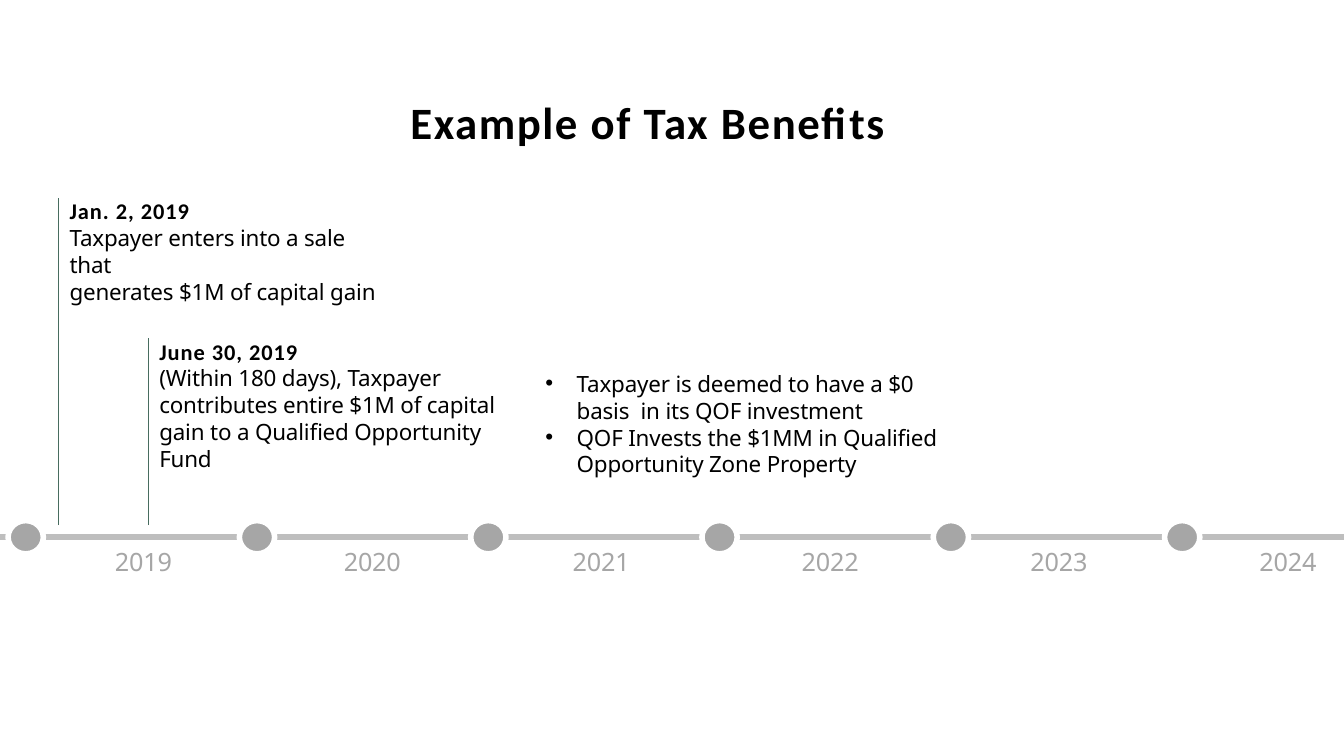
import pptx
import pptx.dml.color
import pptx.enum.shapes
import pptx.enum.text
import pptx.oxml.ns
import pptx.util
from lxml import etree
from pptx.util import Inches, Pt

COLORS = {"text": "000000", "axis": "BEBEBE", "marker": "A6A6A6",
          "leader": "476C5F", "white": "FFFFFF"}
HEADING_FONT = "Calibri"
BODY_FONT = "Noto Sans"
ALIGN = pptx.enum.text.PP_ALIGN


def color(name):
    return pptx.dml.color.RGBColor.from_string(COLORS[name])


def format_frame(frame, anchor=pptx.enum.text.MSO_ANCHOR.TOP):
    frame.word_wrap = True
    frame.auto_size = pptx.enum.text.MSO_AUTO_SIZE.NONE
    frame.vertical_anchor = anchor
    frame.margin_left = frame.margin_right = frame.margin_bottom = 0
    frame.margin_top = Inches(0.01)


def format_paragraph(paragraph, font_name, size, color_name="text", bold=False,
                     tracking=0, space_before=0, align=ALIGN.LEFT):
    paragraph.alignment = align
    paragraph.space_before = Pt(space_before)
    font = paragraph.font
    font.name, font.size, font.bold = font_name, Pt(size), bold
    font.color.rgb = color(color_name)
    properties = paragraph._p.get_or_add_pPr().get_or_add_defRPr()
    properties.set("spc", str(round(tracking * 100)))


def set_hanging_indent(paragraph, left, first_line, bullet=None):
    properties = paragraph._p.get_or_add_pPr()
    properties.set("marL", str(Inches(left)))
    properties.set("indent", str(Inches(first_line)))
    if bullet:
        font = etree.SubElement(properties, pptx.oxml.ns.qn("a:buFont"))
        font.set("typeface", "Arial")
        character = etree.SubElement(properties, pptx.oxml.ns.qn("a:buChar"))
        character.set("char", bullet)


def add_text_box(slide, left, top, width, height, lines):
    box = slide.shapes.add_textbox(
        Inches(left), Inches(top), Inches(width), Inches(height))
    format_frame(box.text_frame)
    box.text_frame.text = "\n".join(lines)
    return box.text_frame.paragraphs


def add_line(slide, x1, y1, x2, y2, color_name, width):
    line = slide.shapes.add_connector(
        pptx.enum.shapes.MSO_CONNECTOR.STRAIGHT,
        Inches(x1), Inches(y1), Inches(x2), Inches(y2))
    line.line.color.rgb = color(color_name)
    line.line.width = Pt(width)
    etree.SubElement(line._element.spPr, pptx.oxml.ns.qn("a:effectLst"))


def place_title(slide, left, top, width, height, text):
    title = slide.shapes.title
    title.left, title.top = Inches(left), Inches(top)
    title.width, title.height = Inches(width), Inches(height)
    format_frame(title.text_frame, pptx.enum.text.MSO_ANCHOR.MIDDLE)
    title.text_frame.text = text
    format_paragraph(title.text_frame.paragraphs[0], HEADING_FONT, 32, bold=True,
                     tracking=1.1, space_before=1.1, align=ALIGN.CENTER)


def add_timeline(slide, left, axis_y, width, years):
    add_line(slide, left, axis_y, left + width, axis_y, "axis", 4.56)
    marker_width, marker_height = 0.35, 0.33
    # Year markers with a white ring that cuts the axis
    for index in range(len(years)):
        marker = slide.shapes.add_shape(
            pptx.enum.shapes.MSO_SHAPE.OVAL,
            Inches(left + 0.08 + 2.294 * index), Inches(axis_y - marker_height / 2),
            Inches(marker_width), Inches(marker_height))
        marker.shadow.inherit = False
        marker.fill.solid()
        marker.fill.fore_color.rgb = color("marker")
        marker.line.color.rgb = color("white")
        marker.line.width = Pt(3.96)
    # Year labels
    for index, year in enumerate(years):
        label, = add_text_box(slide, left + 1.14 + 2.27 * index, axis_y + 0.08,
                              0.64, 0.33, [str(year)])
        format_paragraph(label, BODY_FONT, 18, "marker", tracking=-0.1, space_before=1)


def add_event(slide, left, top, width, height, bottom, lines):
    """Leader line from the axis with a dated note beside it."""
    add_line(slide, left, bottom, left, top, "leader", 0.48)
    date, *details = add_text_box(slide, left + 0.11, top - 0.01, width, height, lines)
    format_paragraph(date, HEADING_FONT, 16, bold=True, tracking=0.7, space_before=0.9)
    for detail in details:
        format_paragraph(detail, BODY_FONT, 16, tracking=-0.1)


def add_consequences(slide, left, top, width, height, lines):
    paragraphs = add_text_box(slide, left, top, width, height, lines)
    first, second, continuation = paragraphs
    for paragraph in (first, second):
        set_hanging_indent(paragraph, 0.33, -0.31, "•")
    set_hanging_indent(continuation, 0.33, 0)
    for paragraph in paragraphs:
        format_paragraph(paragraph, BODY_FONT, 16, tracking=-0.1,
                         space_before=0.9 if paragraph is first else 0)


def build_tax_benefits_slide(presentation):
    slide = presentation.slides.add_slide(presentation.slide_layouts[5])
    place_title(slide, 1.98, 0.93, 8.89, 0.55, "Example of Tax Benefits")
    add_timeline(slide, 0, 5.33, 13.33, range(2019, 2025))
    add_event(slide, 0.58, 1.96, 3.14, 0.83, 5.21, [
        "Jan. 2, 2019",
        "Taxpayer enters into a sale that",
        "generates $1M of capital gain"])
    add_event(slide, 1.47, 3.35, 3.61, 1.09, 5.21, [
        "June 30, 2019",
        "(Within 180 days), Taxpayer contributes entire $1M of capital "
        "gain to a Qualified Opportunity Fund"])
    add_consequences(slide, 5.39, 3.66, 4.21, 1.09, [
        "Taxpayer is deemed to have a $0 basis  in its QOF investment",
        "QOF Invests the $1MM in Qualified",
        "Opportunity Zone Property"])


presentation = pptx.Presentation()
presentation.slide_width, presentation.slide_height = Inches(13.33), Inches(7.5)
build_tax_benefits_slide(presentation)
presentation.save("out.pptx")
